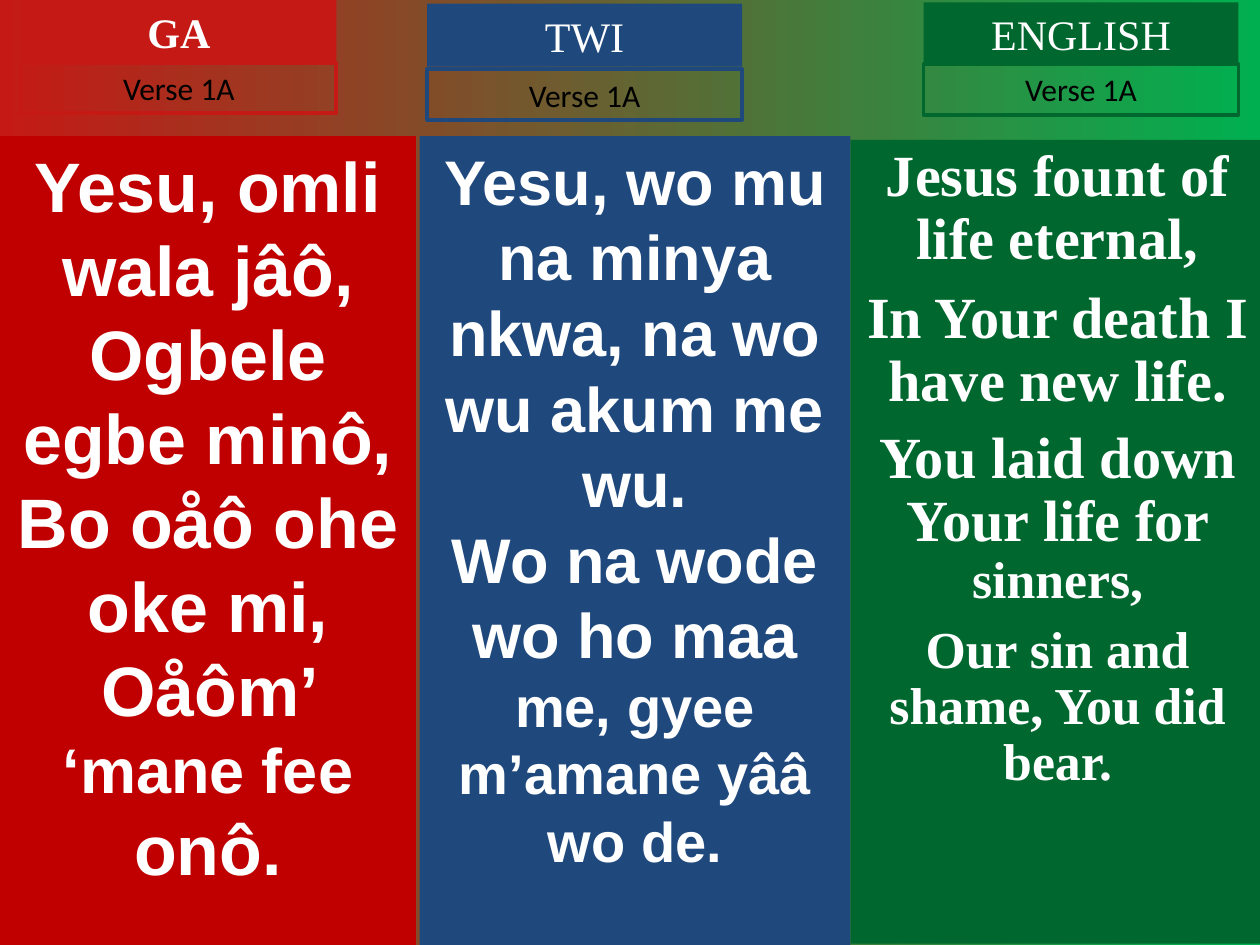
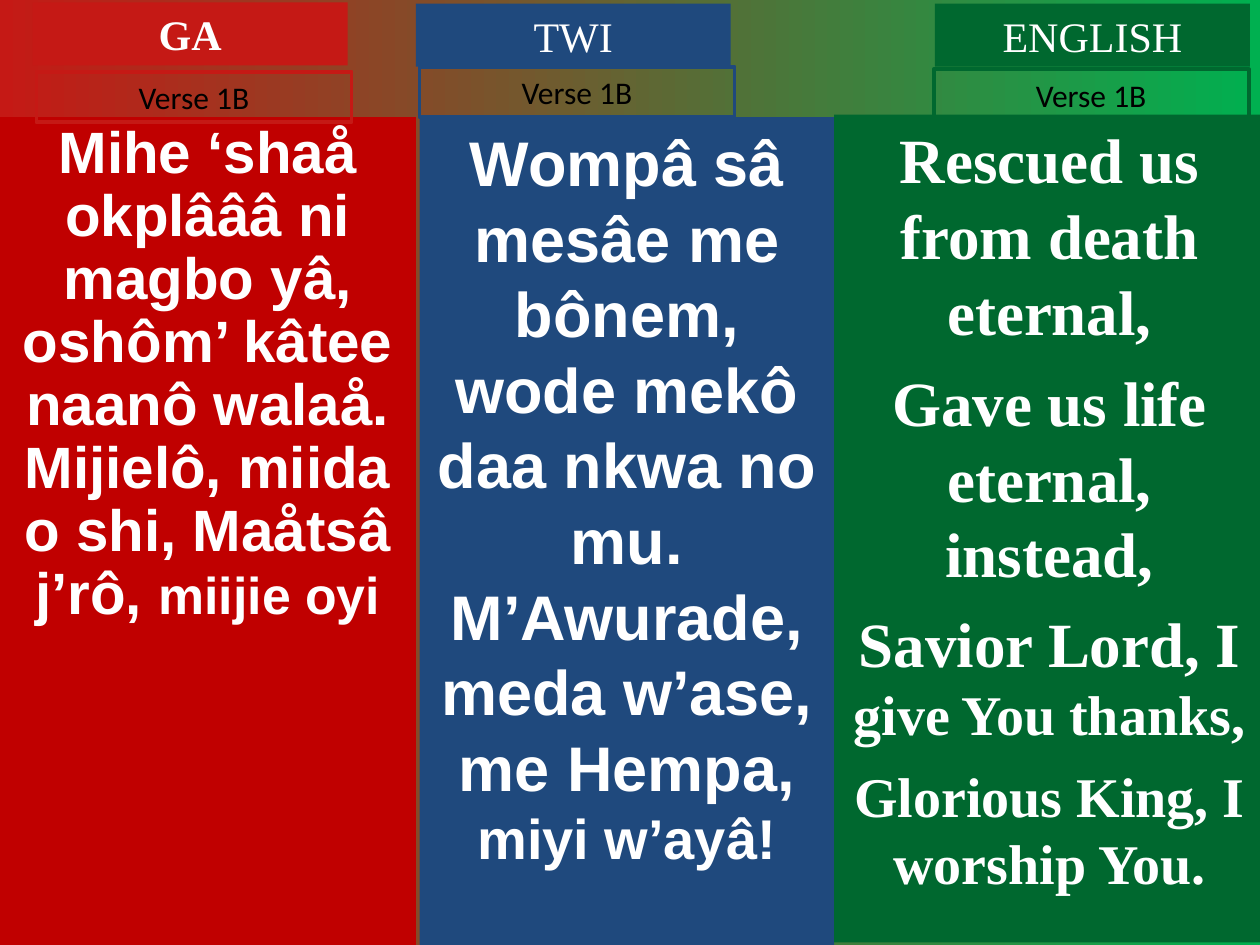
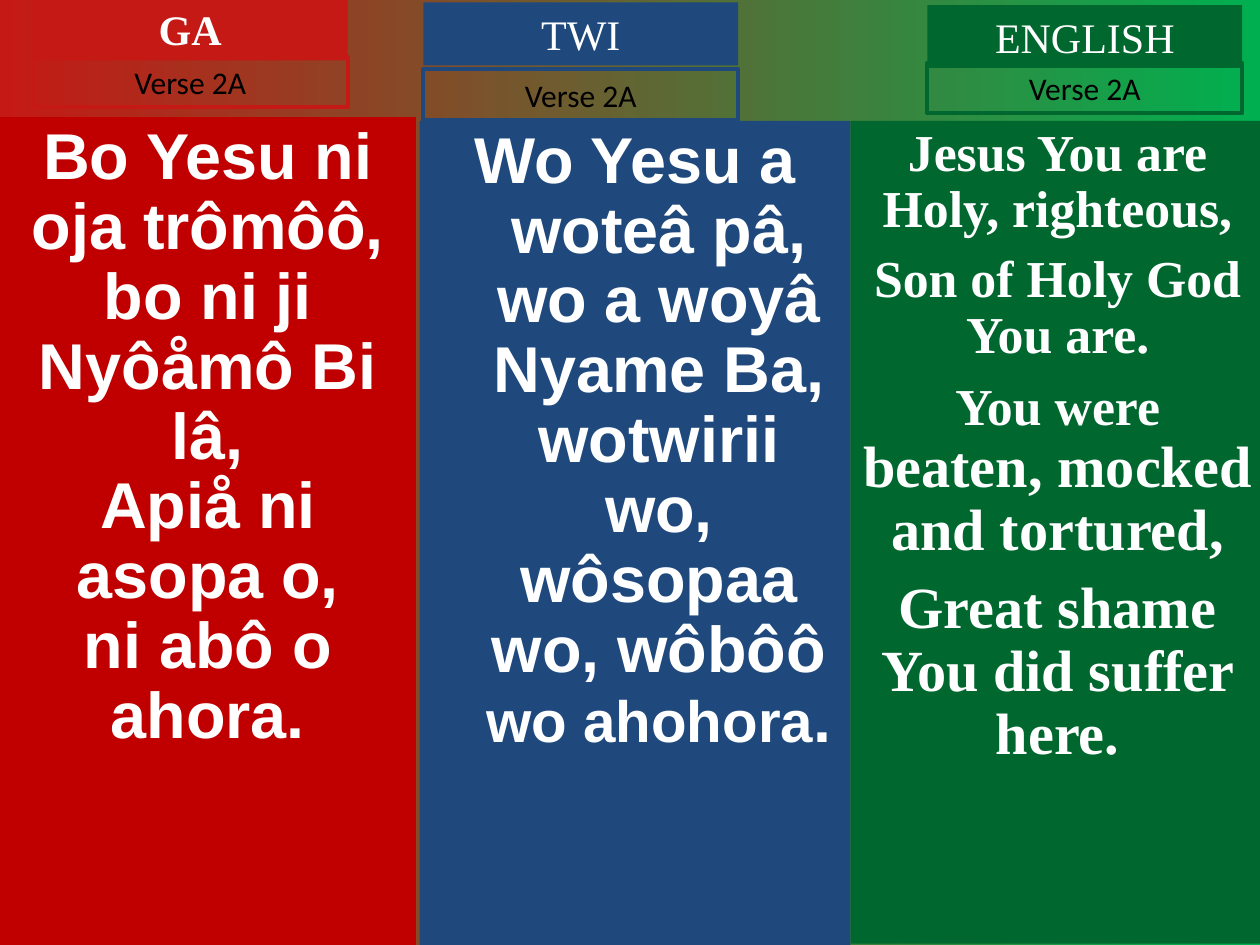
"""Build three slides of hymn verses in Ga, Twi and English."""
import pptx
import pptx.dml.color
import pptx.enum.shapes
import pptx.enum.text
import pptx.util
from lxml import etree

Inches, Pt = pptx.util.Inches, pptx.util.Pt
ANCHOR = pptx.enum.text.MSO_ANCHOR


def rgb(code):
    return pptx.dml.color.RGBColor.from_string(code)


def style(shape, fill, anchor):
    if fill:
        shape.fill.solid()
        shape.fill.fore_color.rgb = rgb(fill)
    else:
        shape.fill.background()
    frame = shape.text_frame
    frame.word_wrap = True
    frame.auto_size = pptx.enum.text.MSO_AUTO_SIZE.NONE
    frame.vertical_anchor = anchor
    return frame


LANGUAGES = [
    ("GA", "C51915", "C00000", "Arial"),
    ("TWI", "1F497D", "1F497D", "Arial"),
    ("ENGLISH", "00682F", "00682F", "Times New Roman"),
]

# Each column: lyrics box, heading corner, verse corner, line spacing, hanging indent, lines
VERSES = [
    ("Verse 1A", [
        ((0, 1.08, 3.3, 6.42), (0.17, 0), (0.17, 0.5), 1, 0, [
            [("Yesu, omli wala jâô,", 40)],
            [("Ogbele egbe minô,", 40)],
            [("Bo oåô ohe oke mi,", 40)],
            [("Oåôm’ ", 40), ("‘mane fee ", 36), ("onô.", 40)]]),
        ((3.33, 1.08, 3.42, 6.42), (3.39, 0.03), (3.39, 0.55), 1, 0, [
            [("Yesu, wo mu na minya nkwa, na wo wu akum me wu.", 36)],
            [("Wo na wode wo ho maa ", 36), ("me, gyee m’amane yââ wo de.", 32)]]),
        ((6.75, 1.11, 3.29, 6.38), (7.33, 0.02), (7.33, 0.51), 0.9, 0, [
            [("Jesus fount of life eternal,", 33.3)],
            [("In Your death I have new life.", 33.3)],
            [("You laid down Your life for ", 33.3), ("sinners,", 29.6)],
            [("Our sin and shame, You did bear.", 29.6)]]),
    ]),
    ("Verse 1B", [
        ((0, 0.93, 3.3, 6.57), (0.26, 0.02), (0.29, 0.57), 0.9, 0, [
            [("Mihe ‘shaå okplâââ ni magbo yâ,", 33.3)],
            [("oshôm’ kâtee naanô walaå.", 33.3)],
            [("Mijielô, miida o shi, Maåtsâ j’rô, ", 33.3), ("miijie oyi", 29.6)]]),
        ((3.33, 0.93, 3.29, 6.57), (3.3, 0.03), (3.33, 0.53), 1, 0, [
            [("Wompâ sâ mesâe me bônem, wode mekô daa nkwa no mu.", 36)],
            [("M’Awurade, meda w’ase, me Hempa, ", 36), ("miyi w’ayâ!", 32)]]),
        ((6.62, 0.91, 3.42, 6.57), (7.42, 0.03), (7.41, 0.55), 1, 0, [
            [("Rescued us from death eternal,", 36)],
            [("Gave us life eternal, instead,", 36)],
            [("Savior Lord, I ", 36), ("give You thanks,", 32)],
            [("Glorious King, I worship You.", 32)]]),
    ]),
    ("Verse 2A", [
        ((0, 0.93, 3.3, 6.57), (0.26, -0.02), (0.26, 0.45), 0.9, 0, [
            [("Bo Yesu ni oja trômôô,", 37)],
            [("bo ni ji Nyôåmô Bi lâ,", 37)],
            [("Apiå ni asopa o,", 37)],
            [("ni abô o ahora.", 37)]]),
        ((3.33, 0.96, 3.42, 6.54), (3.36, 0.02), (3.36, 0.55), 0.9, 0.38, [
            [("Wo Yesu a woteâ pâ, wo a woyâ Nyame Ba, wotwirii wo, wôsopaa wo, wôbôô ", 37),
             ("wo ahohora", 33.3), (".", 37)]]),
        ((6.75, 0.96, 3.29, 6.53), (7.36, 0.04), (7.36, 0.5), 0.9, 0, [
            [("Jesus You are Holy, righteous,", 29.6)],
            [("Son of Holy God You are.", 29.6)],
            [("You were ", 29.6), ("beaten, mocked and tortured,", 33.3)],
            [("Great shame You did suffer here.", 33.3)]]),
    ]),
]

prs = pptx.Presentation()
prs.slide_width, prs.slide_height = Inches(10), Inches(7.5)
backdrop = prs.slide_master.background.fill
backdrop.gradient()
backdrop.gradient_angle = 0
for stop, color in zip(backdrop.gradient_stops, ("C51915", "00B050")):
    stop.color.rgb = rgb(color)

for verse, columns in VERSES:
    slide = prs.slides.add_slide(prs.slide_layouts.get_by_name("Comparison"))
    title, *lyric_boxes, spare = slide.placeholders
    for unused in (title, spare):
        unused.element.getparent().remove(unused.element)

    for lyrics, language, column in zip(lyric_boxes, LANGUAGES, columns):
        name, accent, panel, font = language
        box, heading_at, verse_at, spacing, indent, lines = column

        lyrics.left, lyrics.top, lyrics.width, lyrics.height = map(Inches, box)
        frame = style(lyrics, panel, ANCHOR.TOP)
        for number, line in enumerate(lines):
            paragraph = frame.add_paragraph() if number else frame.paragraphs[0]
            properties = paragraph._p.get_or_add_pPr()
            properties.set("marL", str(Inches(indent)))
            properties.set("indent", str(-Inches(indent)))
            etree.SubElement(properties, pptx.oxml.ns.qn("a:buNone"))
            paragraph.alignment = pptx.enum.text.PP_ALIGN.CENTER
            paragraph.line_spacing = spacing
            gap = 8 if line[-1][1] <= 32 else 9
            paragraph.space_before = Pt(gap if number and name == "ENGLISH" else 0)
            paragraph.font.name = font
            paragraph.font.bold = True
            paragraph.font.color.rgb = rgb("FFFFFF")
            if len(line) == 1:
                paragraph.font.size = Pt(line[0][1])
            for text, size in line:
                run = paragraph.add_run()
                run.text = text
                if len(line) > 1:
                    run.font.size = Pt(size)

        for text, corner, height, fill, size, face, ink in (
            (name, heading_at, 0.5, accent, 24, "Times New Roman", "FFFFFF"),
            (verse, verse_at, 0.4, None, 18, "Calibri", "000000"),
        ):
            tag = slide.shapes.add_shape(
                pptx.enum.shapes.MSO_SHAPE.RECTANGLE,
                *map(Inches, (*corner, 2.5, height)))
            tag.shadow.inherit = False
            frame = style(tag, fill, ANCHOR.MIDDLE)
            if fill:
                tag.line.fill.background()
            else:
                tag.line.color.rgb = rgb(accent)
                tag.line.width = Pt(2.25)
            frame.text = text
            paragraph = frame.paragraphs[0]
            paragraph.alignment = pptx.enum.text.PP_ALIGN.CENTER
            paragraph.font.name = face
            paragraph.font.size = Pt(size)
            paragraph.font.bold = text == "GA"
            paragraph.font.color.rgb = rgb(ink)

prs.save("out.pptx")
